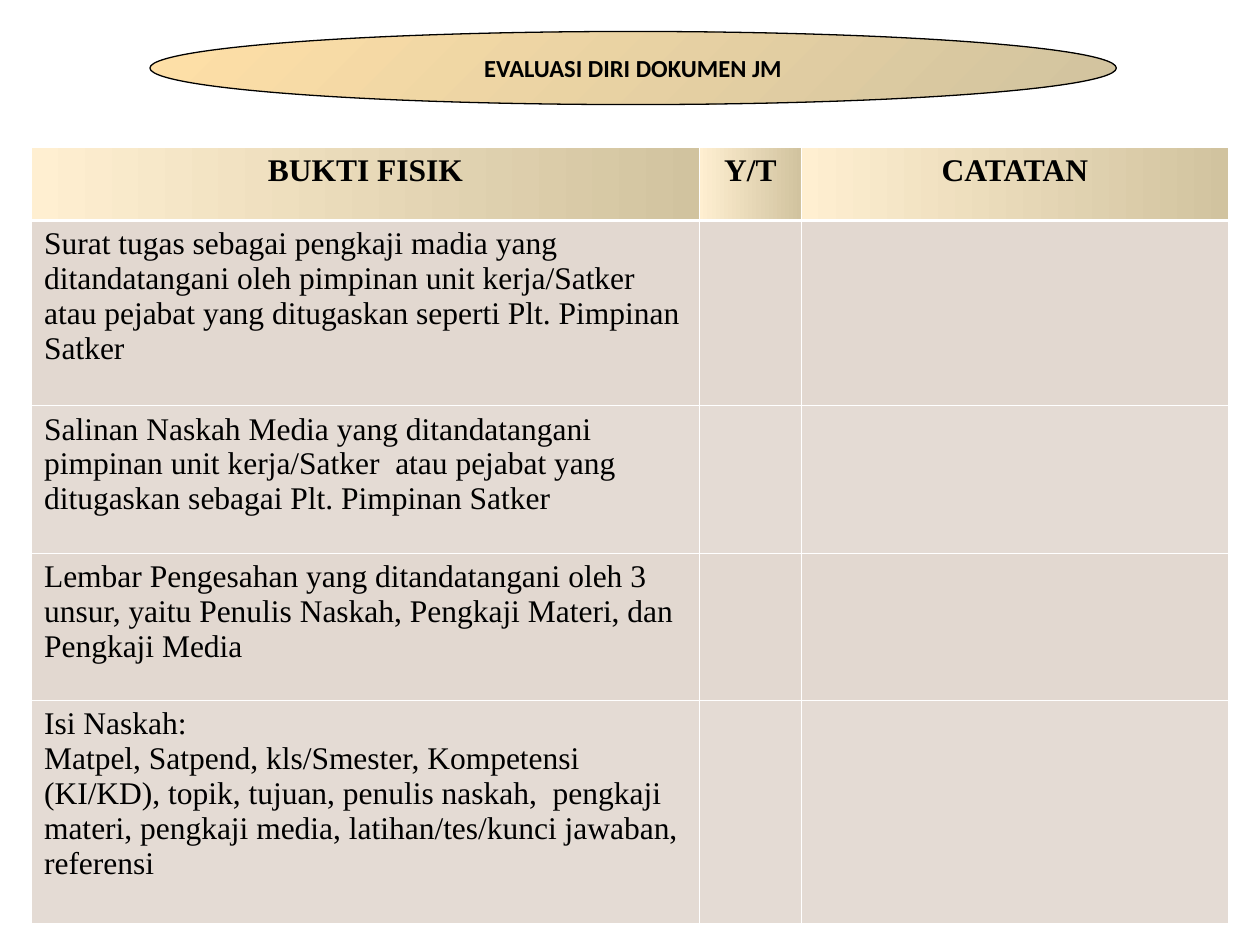
from lxml.etree import SubElement
from pptx import Presentation
from pptx.dml.color import RGBColor
from pptx.enum.shapes import MSO_SHAPE
from pptx.enum.text import MSO_ANCHOR, PP_ALIGN
from pptx.oxml import parse_xml
from pptx.oxml.ns import nsdecls, qn
from pptx.util import Inches, Pt

BLACK = RGBColor(0, 0, 0)
WHITE = RGBColor(0xFF, 0xFF, 0xFF)
GOLD = RGBColor(0xFF, 0xE0, 0xA7)
CREAM = RGBColor(0xFF, 0xEF, 0xD1)
KHAKI = RGBColor(0xD1, 0xC3, 0x9F)
BANDS = RGBColor(0xE2, 0xD8, 0xD0), RGBColor(0xE4, 0xDB, 0xD4)

TITLE = {"name": "Calibri", "size": Pt(14), "bold": True}
HEAD = {"name": "Times New Roman", "size": Pt(18), "bold": True}
BODY = {**HEAD, "bold": False}

THIN, THICK = 0.45, 1.47
COLS = 5.3, 0.81, 3.39
ROWS = 0.58, 1.47, 1.17, 1.17, 1.77
HEADS = "BUKTI FISIK", "Y/T", "CATATAN"
PROOFS = (
    "Surat tugas sebagai pengkaji madia yang ditandatangani oleh pimpinan "
    "unit kerja/Satker atau pejabat yang ditugaskan seperti Plt. Pimpinan Satker",
    "Salinan Naskah Media yang ditandatangani pimpinan unit kerja/Satker  atau "
    "pejabat yang ditugaskan sebagai Plt. Pimpinan Satker",
    "Lembar Pengesahan yang ditandatangani oleh 3 unsur, yaitu Penulis Naskah, "
    "Pengkaji Materi, dan Pengkaji Media",
    "Isi Naskah:\nMatpel, Satpend, kls/Smester, Kompetensi (KI/KD), topik, tujuan, "
    "penulis naskah,  pengkaji materi, pengkaji media, latihan/tes/kunci jawaban, "
    "referensi",
)


class Page:
    def __init__(self, slide, ink=BLACK, rule=WHITE):
        self.slide, self.ink, self.rule = slide, ink, rule

    def label(self, frame, text, style, align):
        frame.text = text
        for para in frame.paragraphs:
            para.alignment = align
            for key, value in style.items():
                setattr(para.font, key, value)
            para.font.color.rgb = self.ink

    def blend(self, fill, start, end, angle):
        """Fill with a two-colour gradient; angle runs counter-clockwise."""
        fill.gradient()
        fill.gradient_angle = angle
        for stop, color in zip(fill.gradient_stops, (start, end)):
            stop.color.rgb = color

    def oval(self, box, text):
        shape = self.slide.shapes.add_shape(MSO_SHAPE.OVAL, *map(Inches, box))
        shape.shadow.inherit = False
        self.blend(shape.fill, GOLD, KHAKI, 315)
        shape.line.color.rgb = self.ink
        shape.line.width = Pt(0.75)
        shape.text_frame.word_wrap = False
        shape.text_frame.vertical_anchor = MSO_ANCHOR.MIDDLE
        self.label(shape.text_frame, text, TITLE, PP_ALIGN.CENTER)

    def edge(self, cell, top, bottom):
        """Draw the four borders, which come before the fill in the XML."""
        props = cell._tc.get_or_add_tcPr()
        widths = {"lnL": THIN, "lnR": THIN, "lnT": top, "lnB": bottom}
        for place, (tag, width) in enumerate(widths.items()):
            line = parse_xml(f'<a:{tag} {nsdecls("a")} w="{Pt(width)}"/>')
            paint = SubElement(line, qn("a:solidFill"))
            SubElement(paint, qn("a:srgbClr"), val=str(self.rule))
            props.insert(place, line)

    def table(self, left, top, cols, rows, data):
        table = self.slide.shapes.add_table(
            len(rows), len(cols), Inches(left), Inches(top),
            Inches(sum(cols)), Inches(sum(rows))).table
        for col, width in zip(table.columns, cols):
            col.width = Inches(width)
        for r, (row, height, texts) in enumerate(zip(table.rows, rows, data)):
            row.height = Inches(height)
            for cell, text in zip(row.cells, texts):
                if r == 0:
                    self.blend(cell.fill, CREAM, KHAKI, 0)
                    self.label(cell.text_frame, text, HEAD, PP_ALIGN.CENTER)
                else:
                    cell.fill.solid()
                    cell.fill.fore_color.rgb = BANDS[(r - 1) % 2]
                    self.label(cell.text_frame, text, BODY, PP_ALIGN.LEFT)
                self.edge(cell, THICK if r == 1 else THIN,
                          THICK if r == 0 else THIN)


def main():
    deck = Presentation()
    deck.slide_width, deck.slide_height = Inches(10), Inches(7.5)
    page = Page(deck.slides.add_slide(deck.slide_layouts[6]))
    page.oval((1.19, 0.25, 7.67, 0.58), "EVALUASI DIRI DOKUMEN JM")
    page.table(0.25, 1.17, COLS, ROWS,
               [HEADS, *((proof, "", "") for proof in PROOFS)])
    deck.save("out.pptx")


if __name__ == "__main__":
    main()
